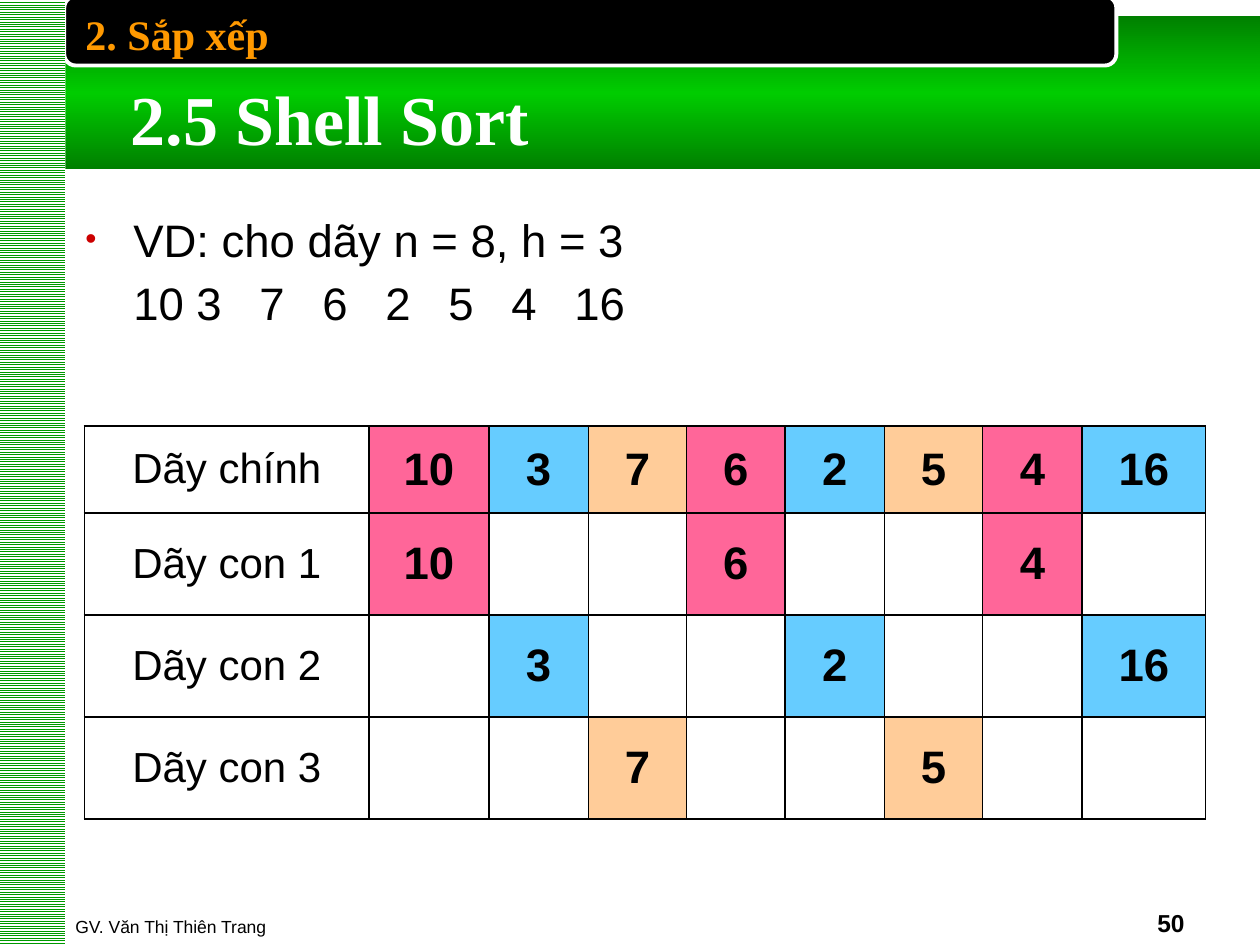
from copy import deepcopy
from lxml.etree import SubElement as Sub
from pptx import Presentation
from pptx.dml.color import RGBColor
from pptx.enum.dml import MSO_PATTERN as Pattern
from pptx.enum.shapes import MSO_SHAPE as Shape
from pptx.enum.text import MSO_ANCHOR as Anchor, MSO_AUTO_SIZE as Fit, PP_ALIGN as Align
from pptx.oxml import parse_xml
from pptx.oxml.ns import nsdecls, qn
from pptx.util import Inches, Pt

TOPIC = "2. Sắp xếp"
TITLE = "2.5 Shell Sort"
INTRO = "VD: cho dãy n = 8, h = 3"
NUMS = [10, 3, 7, 6, 2, 5, 4, 16]
GAP = 3
LABELS = ["Dãy chính", "Dãy con 1", "Dãy con 2", "Dãy con 3"]
TINTS = ["FF6699", "66CCFF", "FFCC99"]
COLS = [2.26, 0.95, 0.79, 0.78, 0.78, 0.79, 0.78, 0.79, 0.98]
ROWS = [0.69, 0.81, 0.81, 0.81]
AUTHOR = "GV. Văn Thị Thiên Trang"
PAGE = "50"
SERIF = "Times New Roman"
BLACK, WHITE = "000000", "FFFFFF"


def rgb(code):
    return RGBColor.from_string(code)


def write(para, text, size=26, font="Arial", color=BLACK, bold=False,
          align=Align.LEFT, hang=0, bullet=None, before=0):
    para.alignment = align
    para.space_before = Pt(before)
    props = para._p.get_or_add_pPr()
    if hang:
        props.set("marL", str(Inches(hang)))
        props.set("indent", str(-Inches(hang)))
    if bullet:
        tint = Sub(props, qn("a:buClr"))
        Sub(tint, qn("a:srgbClr"), val=bullet)
        Sub(props, qn("a:buSzPct"), val="70000")
        Sub(props, qn("a:buFont"), typeface=font)
        Sub(props, qn("a:buChar"), char="•")
    run = para.add_run()
    run.text = text
    run.font.size, run.font.name, run.font.bold = Pt(size), font, bold
    run.font.color.rgb = rgb(color)


def add_box(at, anchor=Anchor.TOP, wrap=True):
    frame = slide.shapes.add_textbox(*map(Inches, at)).text_frame
    frame.word_wrap, frame.vertical_anchor = wrap, anchor
    return frame


def add_form(kind, at):
    form = slide.shapes.add_shape(kind, *map(Inches, at))
    form.shadow.inherit = False
    form.line.fill.background()
    return form


def add_edges(cell):
    props = cell._tc.get_or_add_tcPr()
    for spot, side in enumerate("LRTB"):
        props.insert(spot, parse_xml(
            f'<a:ln{side} {nsdecls("a")} w="{Pt(1)}"><a:solidFill>'
            f'<a:srgbClr val="{BLACK}"/></a:solidFill></a:ln{side}>'))


show = Presentation()
show.slide_width, show.slide_height = Inches(10), Inches(7.5)
slide = show.slides.add_slide(show.slide_layouts[6])

band = add_form(Shape.RECTANGLE, (0, 0.13, 10.01, 1.21))
band.fill.gradient()
band.fill.gradient_angle = 90
stops = band._element.spPr.find(".//" + qn("a:gsLst"))
stops.append(deepcopy(stops[0]))
for stop, place, color in zip(band.fill.gradient_stops, (0, 0.5, 1),
                              ("008000", "00CC00", "008000")):
    stop.position = place
    stop.color.rgb = rgb(color)

tab = add_form(Shape.ROUNDED_RECTANGLE, (0.51, -0.03, 8.35, 0.55))
tab.fill.solid()
tab.fill.fore_color.rgb = rgb(BLACK)
tab.line.color.rgb = rgb(WHITE)
tab.line.width = Pt(2.25)

strip = add_form(Shape.RECTANGLE, (-0.01, 0, 0.53, 7.5))
strip.fill.patterned()
strip.fill.pattern = Pattern.LIGHT_HORIZONTAL
strip.fill.fore_color.rgb = rgb("009900")
strip.fill.back_color.rgb = rgb(WHITE)

foot = add_box((0.5, 6.99, 6.08, 0.5), Anchor.BOTTOM)
write(foot.paragraphs[0], AUTHOR, size=10)
page = add_box((7.17, 6.99, 2.33, 0.5), Anchor.BOTTOM)
write(page.paragraphs[0], PAGE, size=14, bold=True, align=Align.RIGHT)
title = add_box((0.94, 0.55, 3.37, 0.77), wrap=False)
title.auto_size = Fit.SHAPE_TO_FIT_TEXT
write(title.paragraphs[0], TITLE, size=40, font=SERIF, color=WHITE, bold=True)

body = add_box((0.58, 1.63, 9, 5.37))
write(body.paragraphs[0], INTRO, align=Align.JUSTIFY, hang=0.38, bullet="CC0000")
write(body.add_paragraph(), "".join(f"\t{num}" for num in NUMS),
      align=Align.JUSTIFY, hang=0.38, before=5.2)

area = (0.67, 3.38, sum(COLS), sum(ROWS))
grid = slide.shapes.add_table(len(ROWS), len(COLS), *map(Inches, area)).table
grid.first_row = grid.horz_banding = False
for col, width in zip(grid.columns, COLS):
    col.width = Inches(width)
for r, (label, height) in enumerate(zip(LABELS, ROWS)):
    grid.rows[r].height = Inches(height)
    for c, value in enumerate([label] + NUMS):
        cell = grid.cell(r, c)
        group = (c - 1) % GAP
        live = c > 0 and r in (0, group + 1)
        cell.vertical_anchor = Anchor.MIDDLE
        cell.fill.solid()
        cell.fill.fore_color.rgb = rgb(TINTS[group] if live else WHITE)
        add_edges(cell)
        if live or c == 0:
            write(cell.text_frame.paragraphs[0], str(value), size=26 if live else 24,
                  bold=live, align=Align.CENTER, hang=0.38)

topic = add_box((0.58, 0.02, 7.67, 0.5))
write(topic.paragraphs[0], TOPIC, size=24, font=SERIF, color="FF9900", bold=True)

show.save("out.pptx")
